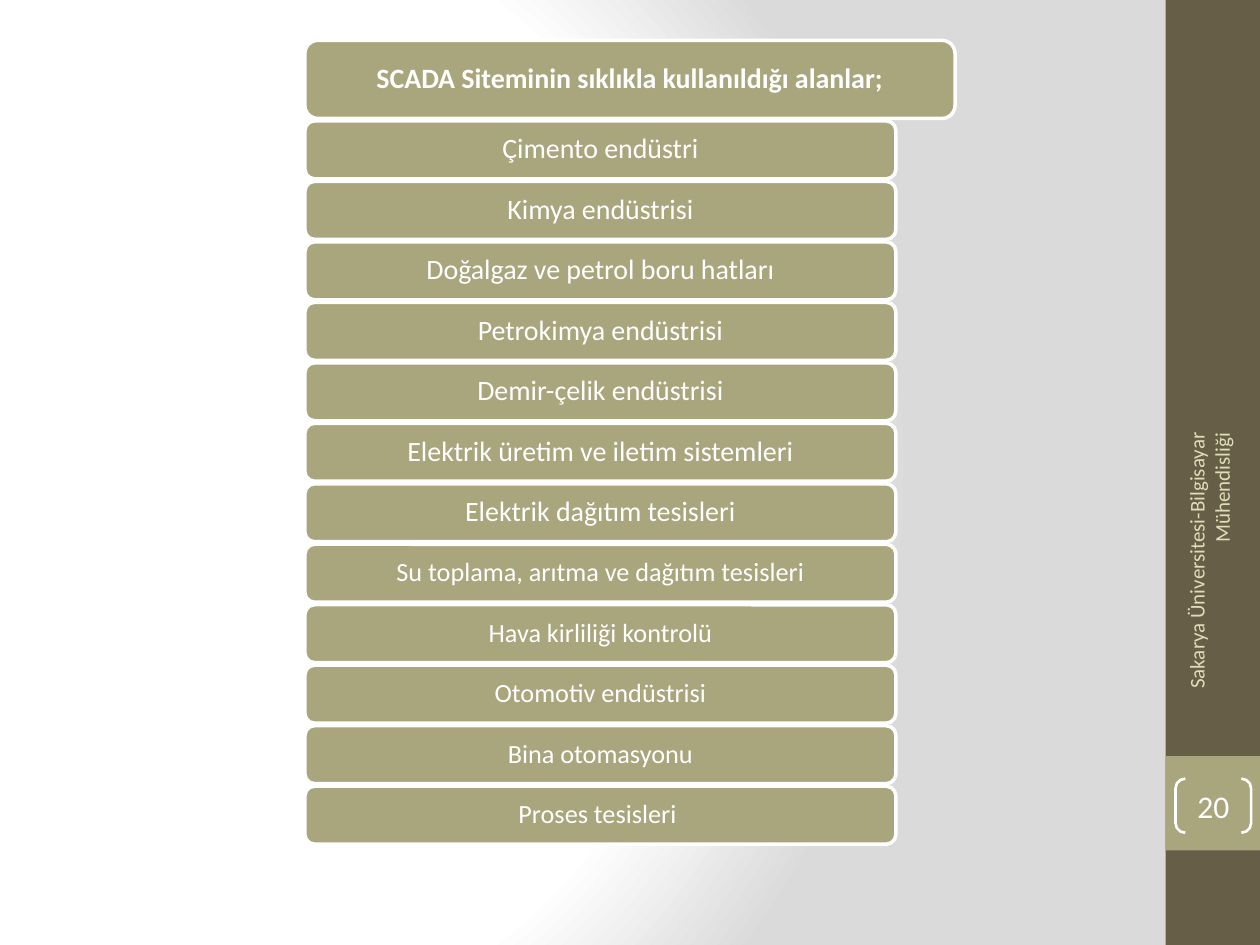
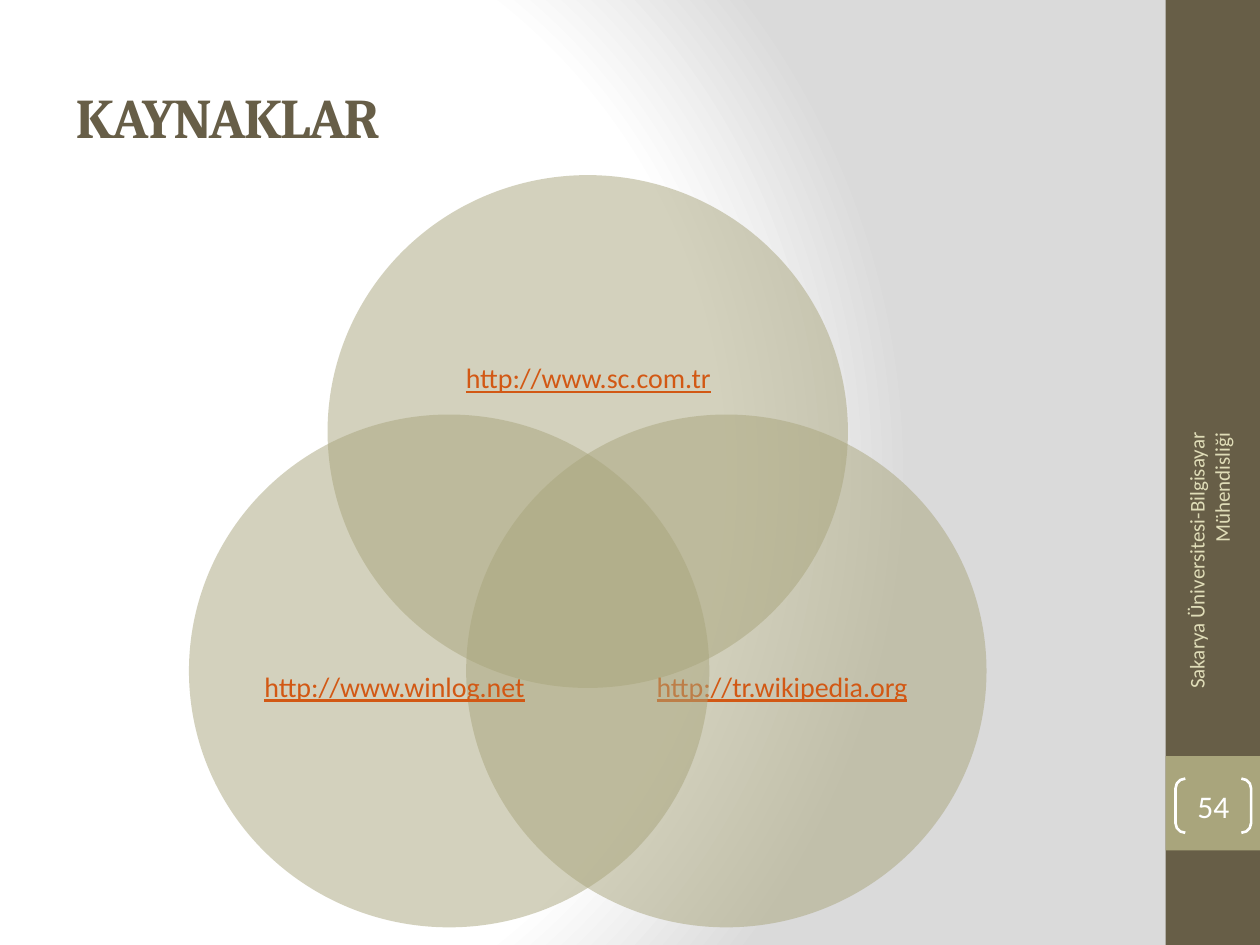
import dataclasses

import lxml.etree
import pptx
import pptx.dml.color
import pptx.enum.shapes
import pptx.enum.text
import pptx.oxml.ns
import pptx.util

Pt = pptx.util.Pt
PRESET = pptx.enum.shapes.MSO_SHAPE
ALIGN = pptx.enum.text.PP_ALIGN


@dataclasses.dataclass(frozen=True)
class Theme:
    dark: str = "675E47"
    olive: str = "A9A57C"
    cream: str = "DFDCB7"
    white: str = "FFFFFF"
    shade: str = "DADADA"
    link: str = "D25814"
    body_font: str = "Calibri"
    title_font: str = "Cambria"
    title_size: int = 32
    number_size: int = 18
    item_size: int = 16
    small_item_size: int = 15
    footer_size: int = 12


THEME = Theme()
SLIDE_WIDTH, SLIDE_HEIGHT = 720, 540
SIDEBAR_BOX = (666, 0, 54, 540)
AREAS_BOX = (174.24, 23.04, 371.52, 459.36)
TITLE_BOX = (36, 21.6, 599.76, 90)
VENN_BOX = (108, 100.08, 455.76, 429.84)

FOOTER = "Sakarya Üniversitesi-Bilgisayar Mühendisliği"
AREAS_HEADING = "SCADA Siteminin sıklıkla kullanıldığı alanlar;"
AREAS = [
    "Çimento endüstri",
    "Kimya endüstrisi",
    "Doğalgaz ve petrol boru hatları",
    "Petrokimya endüstrisi",
    "Demir-çelik endüstrisi",
    "Elektrik üretim ve iletim sistemleri",
    "Elektrik dağıtım tesisleri",
    "Su toplama, arıtma ve dağıtım tesisleri",
    "Hava kirliliği kontrolü",
    "Otomotiv endüstrisi",
    "Bina otomasyonu",
    "Proses tesisleri ",
]
FIRST_SMALL_AREA = 7


def rgb(color):
    return pptx.dml.color.RGBColor.from_string(color)


def write(holder, text, size=THEME.item_size, color=THEME.white,
          font=THEME.body_font, bold=False, underline=False,
          align=ALIGN.CENTER, line_spacing=1.0, inset=(0, 0), tracking=0):
    frame = holder.text_frame
    frame.word_wrap = True
    frame.auto_size = pptx.enum.text.MSO_AUTO_SIZE.NONE
    frame.vertical_anchor = pptx.enum.text.MSO_ANCHOR.MIDDLE
    frame.margin_left = frame.margin_right = Pt(inset[0])
    frame.margin_top = frame.margin_bottom = Pt(inset[1])
    paragraph = frame.paragraphs[0]
    paragraph.alignment = align
    paragraph.line_spacing = line_spacing
    run = paragraph.add_run()
    run.text = text
    run.font.name = font
    run.font.size = Pt(size)
    run.font.bold = bold
    run.font.underline = underline
    run.font.color.rgb = rgb(color)
    if tracking:
        run.font._element.set("spc", str(tracking * 100))


def add_figure(slide, preset, box, fill=None, line=None, line_width=1.5,
               opacity=100):
    figure = slide.shapes.add_shape(preset, *map(Pt, box))
    figure.shadow.inherit = False
    if fill:
        figure.fill.solid()
        figure.fill.fore_color.rgb = rgb(fill)
    else:
        figure.fill.background()
    if opacity < 100:
        color = figure.element.spPr.find(".//" + pptx.oxml.ns.qn("a:srgbClr"))
        alpha = lxml.etree.SubElement(color, pptx.oxml.ns.qn("a:alpha"))
        alpha.set("val", str(opacity * 1000))
    if line:
        figure.line.color.rgb = rgb(line)
        figure.line.width = Pt(line_width)
    else:
        figure.line.fill.background()
    return figure


def add_label(slide, box, text, **text_format):
    label = slide.shapes.add_textbox(*map(Pt, box))
    write(label, text, **text_format)
    return label


def set_background(master):
    master.background.fill.solid()
    backdrop = master.element.find(".//" + pptx.oxml.ns.qn("p:bgPr"))
    stops = "".join(
        f'<a:gs pos="{position * 1000}"><a:srgbClr val="{color}"/></a:gs>'
        for position, color in
        [(0, THEME.white), (75, THEME.white), (100, THEME.shade)])
    gradient = pptx.oxml.parse_xml(
        f'<a:gradFill {pptx.oxml.ns.nsdecls("a")} rotWithShape="1">'
        f'<a:gsLst>{stops}</a:gsLst><a:path path="circle">'
        '<a:fillToRect l="20000" t="50000" r="100000" b="50000"/>'
        '</a:path></a:gradFill>')
    backdrop.replace(backdrop[0], gradient)


def add_sidebar(slide, box, number):
    left, top, width, height = box
    add_figure(slide, PRESET.RECTANGLE, box, fill=THEME.dark)
    add_figure(slide, PRESET.RECTANGLE, (left, top + 432, width, width),
               fill=THEME.olive)
    footer = add_label(slide, (left - 68.4, top + 318.96, 186.48, 28.8),
                       FOOTER, size=THEME.footer_size, color=THEME.cream,
                       align=ALIGN.RIGHT, inset=(7.2, 3.6))
    footer.rotation = 270
    brackets = add_figure(slide, PRESET.DOUBLE_BRACKET,
                          (left + 5.76, top + 444.96, 43.2, 30.96),
                          line=THEME.white)
    brackets.adjustments[0] = 0.18
    write(brackets, str(number), size=THEME.number_size)


def add_area_list(slide, box):
    left, top, width, height = box
    heading_height, row_width, row_height = 44.64, 337.68, 33.12
    first_row = top + 46.08
    pitch = (top + height - row_height - first_row) / (len(AREAS) - 1)
    rows = [((left, top, width, heading_height), AREAS_HEADING,
             THEME.item_size, True)]
    for index, area in enumerate(AREAS):
        size = (THEME.item_size if index < FIRST_SMALL_AREA
                else THEME.small_item_size)
        row_box = (left, first_row + index * pitch, row_width, row_height)
        rows.append((row_box, area, size, False))
    for row_box, text, size, bold in rows:
        bar = add_figure(slide, PRESET.ROUNDED_RECTANGLE, row_box,
                         fill=THEME.olive, line=THEME.white, line_width=2)
        write(bar, text, size=size, bold=bold, line_spacing=0.9,
              inset=(5, 2))


def add_title(slide, box, text):
    title = slide.shapes.title
    title.left, title.top, title.width, title.height = map(Pt, box)
    write(title, text, size=THEME.title_size, color=THEME.dark,
          font=THEME.title_font, bold=True, align=ALIGN.LEFT,
          inset=(7.2, 3.6), tracking=-1)


def add_source_circles(slide, box):
    left, top, width, height = box
    circle_width, circle_height = 297.36, 293.04
    spread, drop = width - circle_width, height - circle_height
    sources = [
        ("http://www.sc.com.tr", spread / 2, 0, (40, 51, 218, 132)),
        ("http://tr.wikipedia.org", spread, drop, (91, 76, 179, 161)),
        ("http://www.winlog.net", 0, drop, (28, 76, 179, 161)),
    ]
    for address, across, down, (dx, dy, label_width, label_height) in sources:
        x, y = left + across, top + down
        add_figure(slide, PRESET.OVAL, (x, y, circle_width, circle_height),
                   fill=THEME.olive, opacity=50)
        add_label(slide, (x + dx, y + dy, label_width, label_height), address,
                  color=THEME.link, underline=True, line_spacing=0.9)


def build_areas_slide(deck):
    slide = deck.slides.add_slide(deck.slide_layouts.get_by_name("Blank"))
    add_sidebar(slide, SIDEBAR_BOX, 20)
    add_area_list(slide, AREAS_BOX)


def build_sources_slide(deck):
    slide = deck.slides.add_slide(deck.slide_layouts.get_by_name("Title Only"))
    add_sidebar(slide, SIDEBAR_BOX, 54)
    add_title(slide, TITLE_BOX, "KAYNAKLAR")
    add_source_circles(slide, VENN_BOX)


def main():
    deck = pptx.Presentation()
    deck.slide_width, deck.slide_height = Pt(SLIDE_WIDTH), Pt(SLIDE_HEIGHT)
    set_background(deck.slide_master)
    build_areas_slide(deck)
    build_sources_slide(deck)
    deck.save("out.pptx")


if __name__ == "__main__":
    main()
